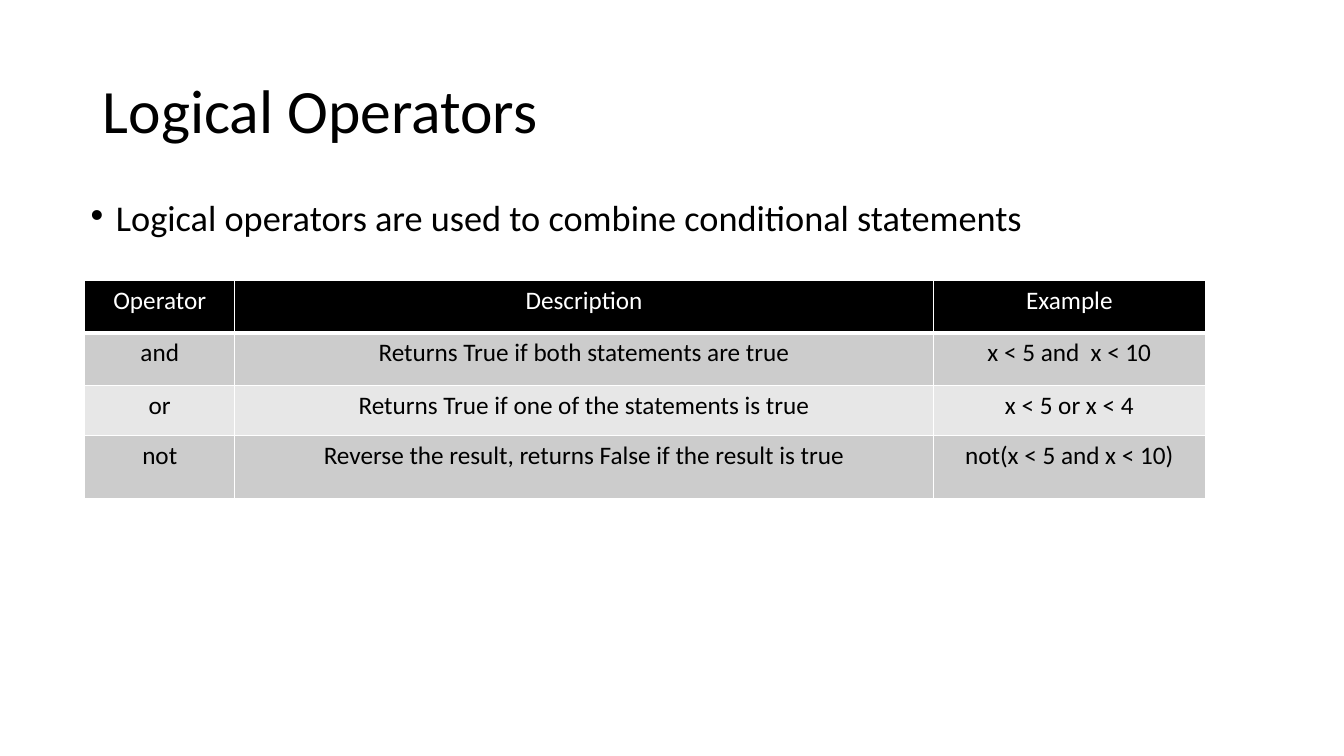
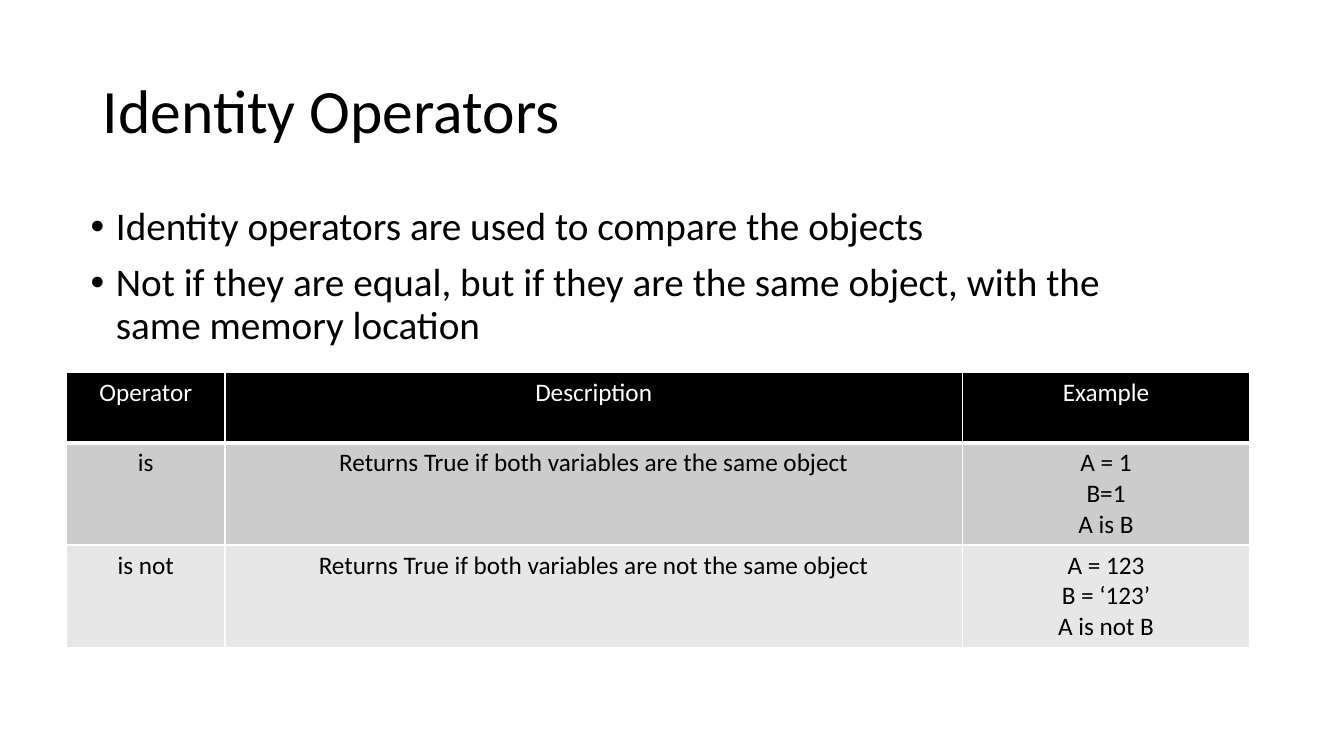
from dataclasses import dataclass

import lxml.etree
import pptx
import pptx.dml.color
import pptx.enum.text
import pptx.oxml.ns
import pptx.util

Pt = pptx.util.Pt
RGB = pptx.dml.color.RGBColor.from_string
ALIGN = pptx.enum.text.PP_ALIGN


@dataclass(frozen=True)
class Theme:
    font: str = "Calibri"
    ink: str = "000000"
    paper: str = "FFFFFF"
    bands: tuple = ("CCCCCC", "E7E7E7")
    title_size: float = 44
    cell_size: float = 18
    line_spacing: float = 0.9
    bullet_gap: float = 10
    bullet_indent: float = 0.25
    rule: float = 1
    header_rule: float = 3


THEME = Theme()
# Boxes are left, top, width, height in percent of the slide.
TITLE_BOX = (6.9, 5.33, 86.25, 19.33)
# Shares of the table width: operator, description, example.
COLUMNS = (13.4, 62.3, 24.3)
HEADER = ("Operator", "Description", "Example")

SLIDES = (
    dict(
        title="Logical Operators",
        bullets=("Logical operators are used to combine conditional statements",),
        bullet_box=(6, 26.67, 75.6, 5.6),
        bullet_size=25.9,
        bullet_spacing=0.7,
        table_box=(6.3, 37.07, 83.4, 28.93),
        row_shares=(24, 24, 23, 29),
        rows=(
            ("and", "Returns True if both statements are true", "x < 5 and  x < 10"),
            ("or", "Returns True if one of the statements is true", "x < 5 or x < 4"),
            ("not", "Reverse the result, returns False if the result is true",
             "not(x < 5 and x < 10)"),
        ),
    ),
    dict(
        title="Identity Operators",
        bullets=(
            "Identity operators are used to compare the objects",
            "Not if they are equal, but if they are the same object, "
            "with the same memory location",
        ),
        bullet_box=(6, 26.67, 77.1, 27.2),
        bullet_size=28,
        bullet_spacing=THEME.line_spacing,
        table_box=(4.95, 49.2, 88.05, 36.27),
        row_shares=(25.8, 37.1, 37.1),
        rows=(
            ("is", "Returns True if both variables are the same object",
             "A = 1\nB=1\nA is B"),
            ("is not", "Returns True if both variables are not the same object",
             "A = 123\nB = ‘123’\nA is not B"),
        ),
    ),
)


def to_emu(prs, box):
    sides = (prs.slide_width, prs.slide_height) * 2
    return [int(side * share / 100) for side, share in zip(sides, box)]


def place(sp, box):
    sp.left, sp.top, sp.width, sp.height = box


def style(p, size, color, align):
    p.font.name = THEME.font
    p.font.size = Pt(size)
    p.font.color.rgb = RGB(color)
    p.alignment = align


def add_title(slide, box, text):
    sp = slide.shapes.title
    place(sp, box)
    tf = sp.text_frame
    tf.text = text
    tf.auto_size = pptx.enum.text.MSO_AUTO_SIZE.NONE
    tf.vertical_anchor = pptx.enum.text.MSO_ANCHOR.MIDDLE
    p = tf.paragraphs[0]
    style(p, THEME.title_size, THEME.ink, ALIGN.LEFT)
    p.line_spacing = THEME.line_spacing


def add_bullets(slide, box, lines, size, spacing):
    sp = slide.placeholders[1]
    place(sp, box)
    tf = sp.text_frame
    tf.text = "\n".join(lines)
    tf.auto_size = pptx.enum.text.MSO_AUTO_SIZE.NONE
    indent = pptx.util.Inches(THEME.bullet_indent)
    for p in tf.paragraphs:
        style(p, size, THEME.ink, ALIGN.LEFT)
        p.line_spacing = spacing
        p.space_before = Pt(THEME.bullet_gap)
        pPr = p._p.get_or_add_pPr()
        pPr.set("marL", str(indent))
        pPr.set("indent", str(-indent))


def set_borders(cell, bottom):
    """Draw the four cell borders; they must stand before the fill in tcPr."""
    qn = pptx.oxml.ns.qn
    tcPr = cell._tc.get_or_add_tcPr()
    widths = dict(lnL=THEME.rule, lnR=THEME.rule, lnT=THEME.rule, lnB=bottom)
    for i, (side, width) in enumerate(widths.items()):
        ln = tcPr.makeelement(qn("a:" + side), {"w": str(Pt(width))})
        fill = lxml.etree.SubElement(ln, qn("a:solidFill"))
        lxml.etree.SubElement(fill, qn("a:srgbClr"), val=THEME.paper)
        tcPr.insert(i, ln)


def fill_cell(cell, text, fill, color, bottom):
    cell.text = text
    cell.fill.solid()
    cell.fill.fore_color.rgb = RGB(fill)
    set_borders(cell, bottom)
    for p in cell.text_frame.paragraphs:
        style(p, THEME.cell_size, color, ALIGN.CENTER)


def add_operator_table(slide, box, rows, row_shares):
    width, height = box[2:]
    rows = (HEADER, *rows)
    table = slide.shapes.add_table(len(rows), len(COLUMNS), *box).table
    for column, share in zip(table.columns, COLUMNS):
        column.width = int(width * share / 100)
    for i, (texts, share) in enumerate(zip(rows, row_shares)):
        table.rows[i].height = int(height * share / 100)
        if i == 0:
            look = (THEME.ink, THEME.paper, THEME.header_rule)
        else:
            look = (THEME.bands[(i - 1) % 2], THEME.ink, THEME.rule)
        for j, text in enumerate(texts):
            fill_cell(table.cell(i, j), text, *look)


def add_operator_slide(prs, content):
    slide = prs.slides.add_slide(prs.slide_layouts[1])
    add_title(slide, to_emu(prs, TITLE_BOX), content["title"])
    add_bullets(slide, to_emu(prs, content["bullet_box"]), content["bullets"],
                content["bullet_size"], content["bullet_spacing"])
    add_operator_table(slide, to_emu(prs, content["table_box"]),
                       content["rows"], content["row_shares"])


def main():
    prs = pptx.Presentation()
    prs.slide_width = pptx.util.Inches(13.33)
    prs.slide_height = pptx.util.Inches(7.5)
    for content in SLIDES:
        add_operator_slide(prs, content)
    prs.save("out.pptx")


if __name__ == "__main__":
    main()
